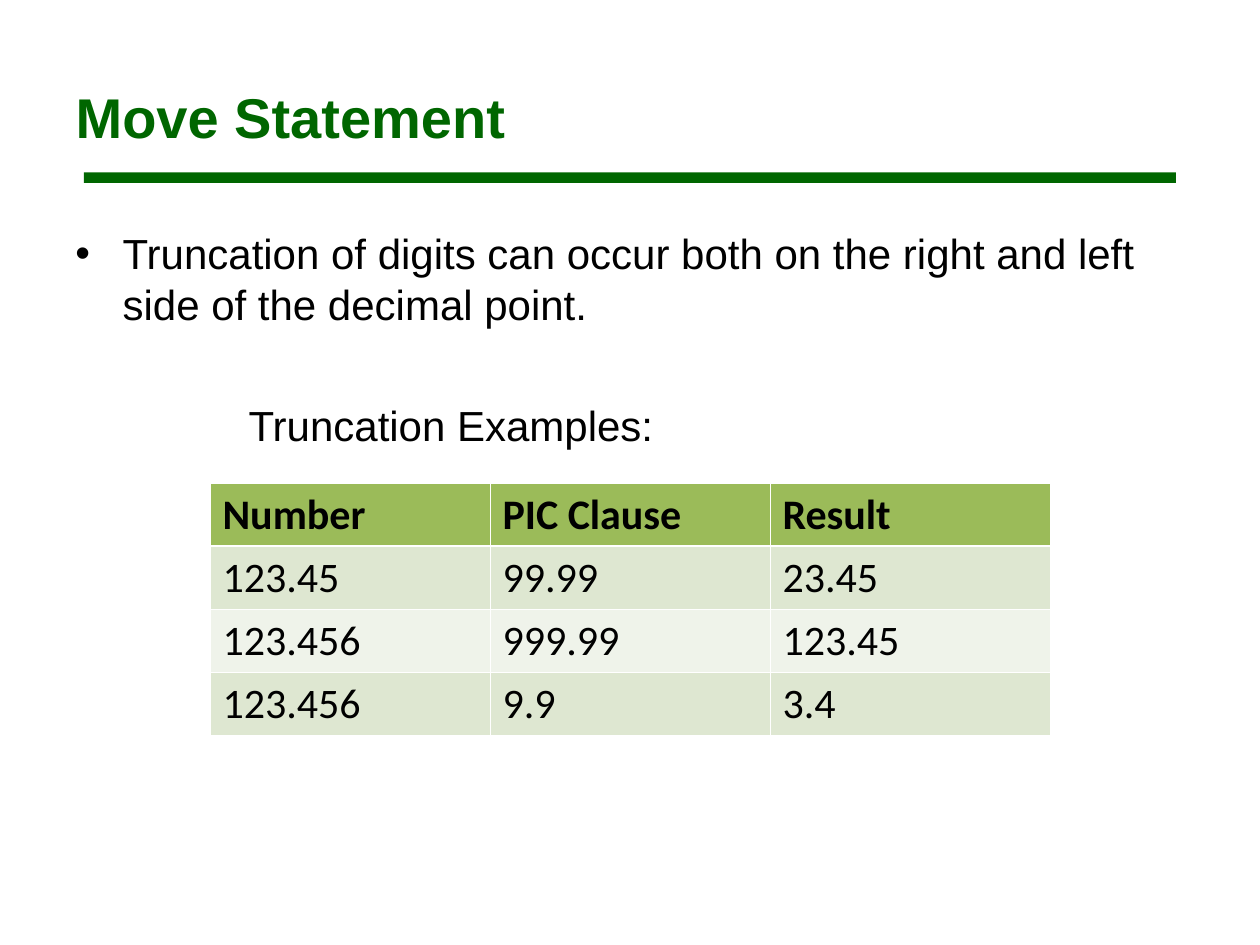
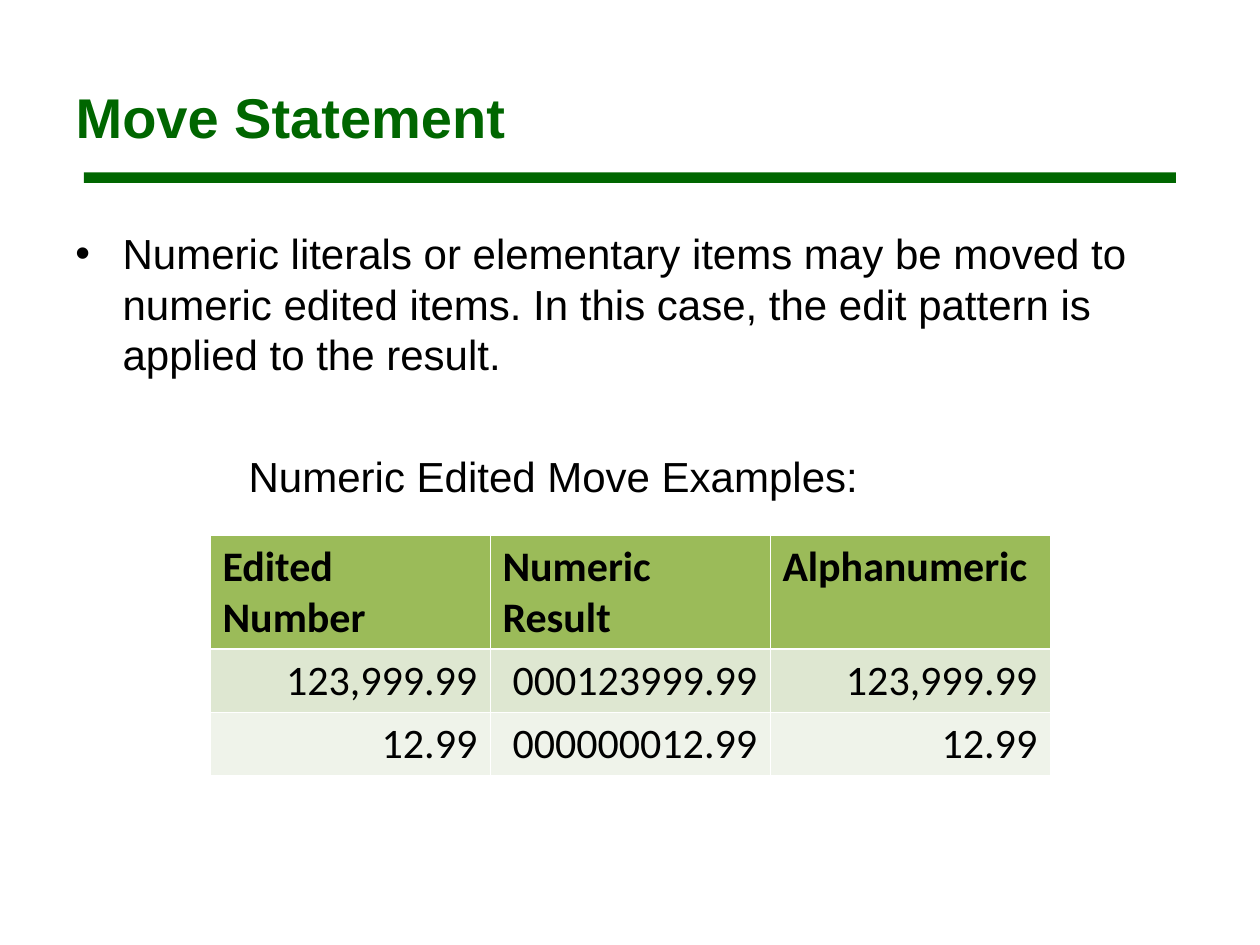
"""Build two slides on the Move statement, each with a bullet, a caption and an example table."""
from dataclasses import dataclass

from lxml import etree
from pptx import Presentation
from pptx.dml.color import RGBColor
from pptx.enum.shapes import MSO_SHAPE
from pptx.enum.text import MSO_ANCHOR, MSO_AUTO_SIZE, PP_ALIGN
from pptx.oxml.ns import qn
from pptx.util import Pt

RECTANGLE = MSO_SHAPE.RECTANGLE
MIDDLE = MSO_ANCHOR.MIDDLE
NO_AUTOFIT = MSO_AUTO_SIZE.NONE
LEFT, RIGHT = PP_ALIGN.LEFT, PP_ALIGN.RIGHT
TITLE_ONLY = 5

TITLE = "Move Statement"
SLIDES = [
    {
        "bullet": "Truncation of digits can occur both on the right and left side of the decimal point.",
        "caption": "Truncation Examples:",
        "rows": [
            ("Number", "PIC Clause", "Result"),
            ("123.45", "99.99", "23.45"),
            ("123.456", "999.99", "123.45"),
            ("123.456", "9.9", "3.4"),
        ],
        "table_top": 276,
        "header_height": 36,
        "value_alignment": LEFT,
    },
    {
        "bullet": "Numeric literals or elementary items may be moved to numeric edited items. "
                  "In this case, the edit pattern is applied to the result.",
        "caption": "Numeric Edited Move Examples:",
        "rows": [
            ("Edited Number", "Numeric Result", "Alphanumeric"),
            ("123,999.99", "000123999.99", "123,999.99"),
            ("12.99", "000000012.99", "12.99"),
        ],
        "table_top": 306,
        "header_height": 65,
        "value_alignment": RIGHT,
    },
]


@dataclass(frozen=True)
class Theme:
    """Colours, fonts and sizes shared by the slides."""
    green: str = "006600"
    text: str = "000000"
    header: str = "9BBB59"
    bands: tuple = ("DEE7D1", "EFF3EA")
    border: str = "FFFFFF"
    thin: float = 0.45
    thick: float = 1.47
    font: str = "Arial"
    table_font: str = "Calibri"
    title_size: int = 32
    body_size: int = 24
    line_height: float = 28.8


THEME = Theme()
TITLE_BOX = (36, 21.6, 648, 90)
RULE_BOX = (48, 98.6, 624, 6)
BODY_BOX = (36, 126.5, 648, 356)
HANGING_INDENT = 27
CAPTION_INDENT = 99
CAPTION_GAP = 40.8
TABLE_LEFT, COLUMN_WIDTH, ROW_HEIGHT = 120, 160, 36


def points(box):
    """Convert a box of numbers to lengths."""
    return [Pt(value) for value in box]


def add_text(paragraph, text, size, color, font, bold=False):
    """Add one formatted run to a paragraph."""
    run = paragraph.add_run()
    run.text = text
    run.font.size = Pt(size)
    run.font.name = font
    run.font.bold = bold
    run.font.color.rgb = RGBColor.from_string(color)


def indent(paragraph, margin, first_line=0, bullet=None):
    """Set the indents of a paragraph and its optional bullet."""
    properties = paragraph._p.get_or_add_pPr()
    properties.set("marL", str(Pt(margin)))
    properties.set("indent", str(Pt(first_line)))
    if bullet:
        etree.SubElement(properties, qn("a:buFont"), typeface=THEME.font)
        etree.SubElement(properties, qn("a:buChar"), char=bullet)


def add_title(slide):
    """Fill the title placeholder and draw the rule below it."""
    title = slide.shapes.title
    title.left, title.top, title.width, title.height = points(TITLE_BOX)
    frame = title.text_frame
    frame.auto_size = NO_AUTOFIT
    frame.vertical_anchor = MIDDLE
    frame.paragraphs[0].alignment = LEFT
    add_text(frame.paragraphs[0], TITLE, THEME.title_size, THEME.green, THEME.font, bold=True)

    rule = slide.shapes.add_shape(RECTANGLE, *points(RULE_BOX))
    rule.shadow.inherit = False
    rule.fill.solid()
    rule.fill.fore_color.rgb = RGBColor.from_string(THEME.green)
    rule.line.fill.background()


def add_body(slide, bullet, caption):
    """Add the bullet and the caption of the table."""
    frame = slide.shapes.add_textbox(*points(BODY_BOX)).text_frame
    frame.word_wrap = True
    statement, heading = frame.paragraphs[0], frame.add_paragraph()
    indent(statement, HANGING_INDENT, -HANGING_INDENT, "•")
    indent(heading, CAPTION_INDENT)
    heading.space_before = Pt(CAPTION_GAP)
    for paragraph, text in ((statement, bullet), (heading, caption)):
        paragraph.line_spacing = Pt(THEME.line_height)
        add_text(paragraph, text, THEME.body_size, THEME.text, THEME.font)


def set_borders(cell, row_index):
    """Draw thin borders with a thick line under the header row."""
    widths = {
        "L": THEME.thin,
        "R": THEME.thin,
        "T": THEME.thick if row_index == 1 else THEME.thin,
        "B": THEME.thick if row_index == 0 else THEME.thin,
    }
    properties = cell._tc.get_or_add_tcPr()
    for side, width in widths.items():
        line = etree.SubElement(properties, qn(f"a:ln{side}"), w=str(Pt(width)))
        fill = etree.SubElement(line, qn("a:solidFill"))
        etree.SubElement(fill, qn("a:srgbClr"), val=THEME.border)


def add_example_table(slide, rows, top, header_height, value_alignment):
    """Add the table of examples with a header and alternating bands."""
    heights = [header_height] + [ROW_HEIGHT] * (len(rows) - 1)
    columns = len(rows[0])
    box = (TABLE_LEFT, top, COLUMN_WIDTH * columns, sum(heights))
    table = slide.shapes.add_table(len(rows), columns, *points(box)).table
    for row_index, values in enumerate(rows):
        is_header = row_index == 0
        color = THEME.header if is_header else THEME.bands[(row_index - 1) % 2]
        table.rows[row_index].height = Pt(heights[row_index])
        for column_index, value in enumerate(values):
            cell = table.cell(row_index, column_index)
            set_borders(cell, row_index)
            cell.fill.solid()
            cell.fill.fore_color.rgb = RGBColor.from_string(color)
            paragraph = cell.text_frame.paragraphs[0]
            paragraph.alignment = LEFT if is_header else value_alignment
            add_text(paragraph, value, THEME.body_size, THEME.text, THEME.table_font, is_header)


def main():
    """Build and save the presentation."""
    presentation = Presentation()
    presentation.slide_width, presentation.slide_height = Pt(720), Pt(540)
    for content in SLIDES:
        slide = presentation.slides.add_slide(presentation.slide_layouts[TITLE_ONLY])
        add_title(slide)
        add_body(slide, content["bullet"], content["caption"])
        add_example_table(slide, content["rows"], content["table_top"],
                          content["header_height"], content["value_alignment"])
    presentation.save("out.pptx")


if __name__ == "__main__":
    main()
